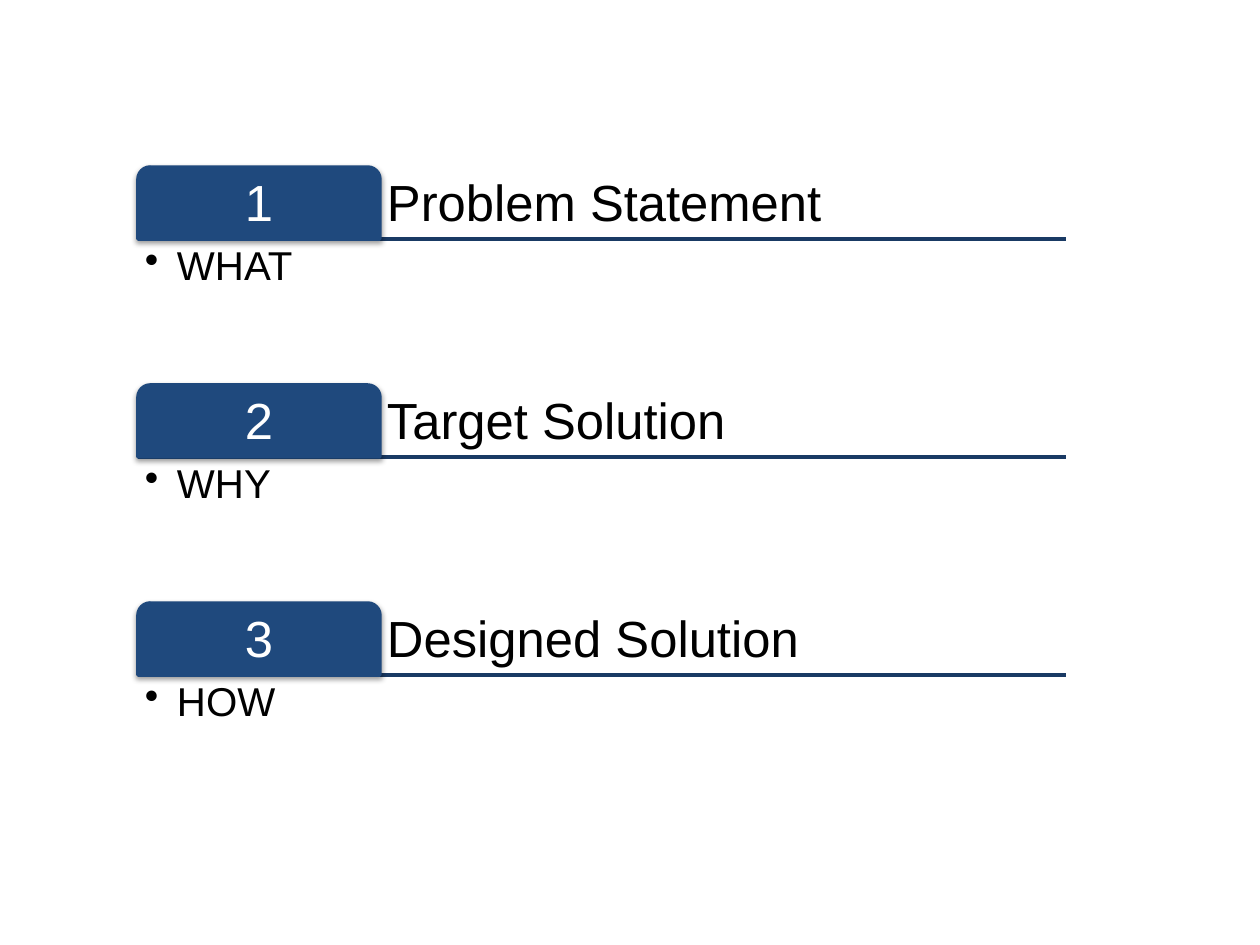
"""Build a slide of three numbered agenda sections with tabs and bullets."""
from lxml import etree
from pptx import Presentation
from pptx import util as u
from pptx.dml.color import RGBColor
from pptx.enum import shapes, text
from pptx.oxml.ns import qn

SECTIONS = [
    ("1", "Problem Statement", "WHAT"),
    ("2", "Target Solution", "WHY"),
    ("3", "Designed Solution", "HOW"),
]
BLUE, RULE, BLACK, WHITE = "1F497D", "193A64", "000000", "FFFFFF"
LEFT, RIGHT, TOP, PITCH = 138, 1066, 167, 218
TAB_W, TAB_H, BODY_H = 242, 72, 144
INSET, INDENT = 7, 32


def px(count):
    return u.Emu(round(count * u.Inches(1) / 126))


def color(value):
    return RGBColor.from_string(value)


def child(parent, tag, **attributes):
    return etree.SubElement(parent, qn(tag), {k: str(v) for k, v in attributes.items()})


def write(shape, words, size, ink, anchor, align=text.PP_ALIGN.LEFT):
    frame = shape.text_frame
    frame.word_wrap = True
    frame.vertical_anchor = anchor
    frame.margin_left = frame.margin_right = px(INSET)
    frame.margin_top = frame.margin_bottom = px(INSET)
    para = frame.paragraphs[0]
    para.text = words
    para.alignment = align
    para.line_spacing = 0.9
    para.font.name = "Arial"
    para.font.size = u.Pt(size)
    para.font.color.rgb = color(ink)
    return para


def add_rule(page, y):
    rule = page.shapes.add_connector(
        shapes.MSO_CONNECTOR.STRAIGHT, px(LEFT), px(y), px(RIGHT), px(y))
    rule.line.color.rgb = color(RULE)
    rule.line.width = u.Pt(2)
    child(rule._element.spPr, "a:effectLst")


def add_tab(page, number, y):
    tab = page.shapes.add_shape(
        shapes.MSO_SHAPE.ROUND_2_SAME_RECTANGLE, px(LEFT), px(y), px(TAB_W), px(TAB_H))
    tab.adjustments[0], tab.adjustments[1] = 0.17, 0
    tab.fill.solid()
    tab.fill.fore_color.rgb = color(BLUE)
    tab.line.color.rgb = color(BLUE)
    tab.line.width = u.Pt(2)
    tab.shadow.inherit = False
    effects = tab._element.spPr.find(qn("a:effectLst"))
    shadow = child(effects, "a:outerShdw", blurRad=u.Pt(3.1), dist=u.Pt(1.6),
                   dir=5400000, rotWithShape=0)
    child(child(shadow, "a:srgbClr", val=BLACK), "a:alpha", val=38000)
    write(tab, number, 29, WHITE, text.MSO_ANCHOR.MIDDLE, text.PP_ALIGN.CENTER)


def add_text(page, words, x, y, height, size, anchor):
    box = page.shapes.add_textbox(px(x), px(y), px(RIGHT - x), px(height))
    return write(box, words, size, BLACK, anchor)


def add_bullet(para):
    properties = para._p.get_or_add_pPr()
    properties.set("marL", str(px(INDENT)))
    properties.set("indent", str(-px(INDENT)))
    child(properties, "a:buChar", char="•")


def main():
    deck = Presentation()
    deck.slide_width, deck.slide_height = u.Inches(10), u.Inches(7.5)
    page = deck.slides.add_slide(deck.slide_layouts[6])
    for index, (number, heading, question) in enumerate(SECTIONS):
        top = TOP + index * PITCH
        base = top + TAB_H
        add_rule(page, base)
        add_text(page, heading, LEFT + TAB_W, top, TAB_H, 29, text.MSO_ANCHOR.BOTTOM)
        add_tab(page, number, top)
        add_bullet(add_text(page, question, LEFT, base, BODY_H, 23, text.MSO_ANCHOR.TOP))
    deck.save("out.pptx")


if __name__ == "__main__":
    main()
